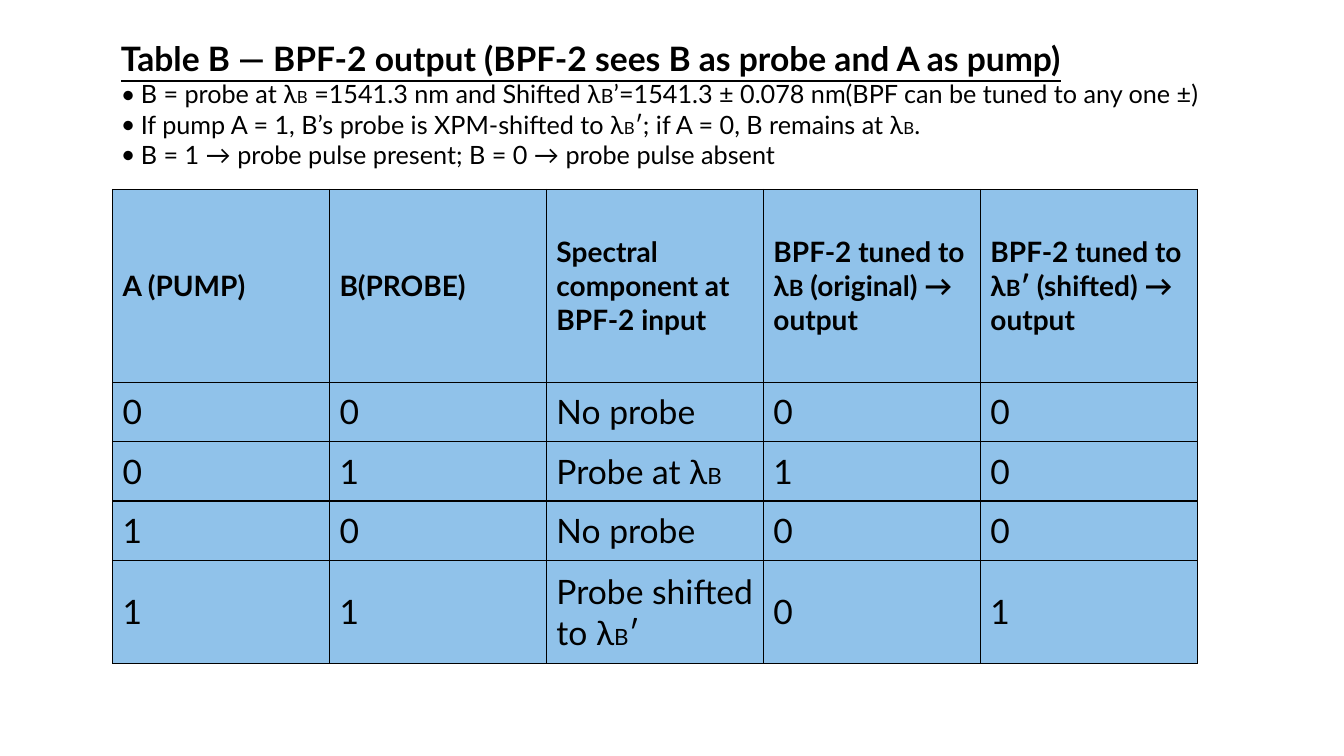
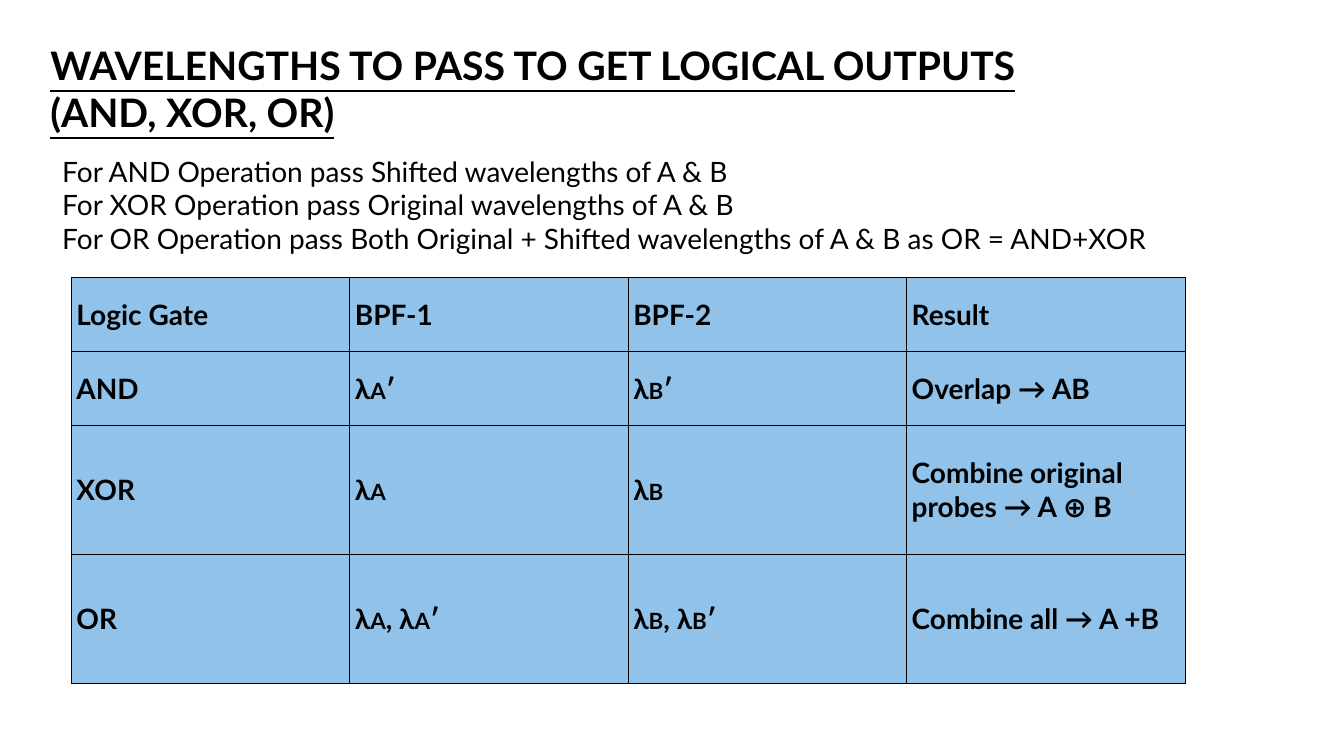
from lxml import etree
from pptx import Presentation
from pptx.dml.color import RGBColor
from pptx.enum.text import MSO_ANCHOR, MSO_AUTO_SIZE, PP_ALIGN
from pptx.oxml.ns import qn
from pptx.util import Pt

TOP, MIDDLE = MSO_ANCHOR.TOP, MSO_ANCHOR.MIDDLE
LEFT = PP_ALIGN.LEFT
NO_AUTOFIT = MSO_AUTO_SIZE.NONE

BLACK = RGBColor(0x00, 0x00, 0x00)
CELL_BLUE = RGBColor(0x90, 0xC2, 0xEA)
FONT = "Lato"
SUBSCRIPT_SIZE = 16
BULLET_INDENT = 14.3

# Text between bars is set in the smaller subscript size.
SLIDES = [
    {
        "title": "Table B — BPF-2 output (BPF-2 sees B as probe and A as pump)",
        "title_size": 24,
        "title_box": (79.2, 23.8, 816, 36),
        "notes": [
            ("B = probe at λ|B| =1541.3 nm and Shifted λ|B|’=1541.3 ± 0.078 nm"
             "(BPF can be tuned to any one ±)", (12, 14)),
            ("If pump A = 1, B’s probe is XPM-shifted to λ|B|′; "
             "if A = 0, B remains at λ|B|.", (12, 12)),
            ("B = 1 → probe pulse present; B = 0 → probe pulse absent", ()),
        ],
        "notes_size": 18,
        "notes_box": (79.2, 52.6, 816, 72),
        "bulleted": True,
        "rows": [
            ("A (PUMP)", "B(PROBE)", "Spectral component at BPF-2 input",
             "BPF-2 tuned to λ|B| (original) → output",
             "BPF-2 tuned to λ|B|′ (shifted) → output"),
            ("0", "0", "No probe", "0", "0"),
            ("0", "1", "Probe at λ|B|", "1", "0"),
            ("1", "0", "No probe", "0", "0"),
            ("1", "1", "Probe shifted to λ|B|′", "0", "1"),
        ],
        "table_at": (80.3, 135.3),
        "column_width": 155,
        "row_heights": (137.8, 42.4, 42.4, 42.4, 73.8),
        "body_size": 24,
        "body_bold": False,
        "cell_margins": (7.2, 3.6),
    },
    {
        "title": "WAVELENGTHS TO PASS TO GET LOGICAL OUTPUTS (AND, XOR, OR)",
        "title_size": 28,
        "title_box": (28.8, 26, 720, 75),
        "notes": [
            ("For AND Operation pass Shifted wavelengths of A & B", ()),
            ("For XOR Operation pass Original wavelengths of A & B", ()),
            ("For OR Operation pass Both Original + Shifted wavelengths "
             "of A & B as OR = AND+XOR", ()),
        ],
        "notes_size": 20,
        "notes_box": (37.4, 106.6, 858, 80),
        "bulleted": False,
        "rows": [
            ("Logic Gate", "BPF-1", "BPF-2", "Result"),
            ("AND", "λ|A|′", "λ|B|′", "Overlap → AB"),
            ("XOR", "λ|A|", "λ|B|", "Combine original probes → A ⊕ B"),
            ("OR", "λ|A|, λ|A|′", "λ|B|, λ|B|′", "Combine all → A +B"),
        ],
        "table_at": (51, 198),
        "column_width": 198.9,
        "row_heights": (52.9, 52.9, 92.2, 92.2),
        "body_size": 20,
        "body_bold": True,
        "cell_margins": (3.6, 2.2),
    },
]
HEADER_SIZE = 20


def add_runs(paragraph, text, size, bold=False, underline=False, small_sizes=()):
    paragraph.alignment = LEFT
    paragraph.line_spacing = 1.0
    paragraph.space_before = paragraph.space_after = Pt(0)
    for index, part in enumerate(text.split("|")):
        if not part:
            continue
        run = paragraph.add_run()
        run.text = part
        font = run.font
        font.name, font.bold, font.underline = FONT, bold, underline
        font.color.rgb = BLACK
        if index % 2:
            size_here = small_sizes[index // 2] if small_sizes else SUBSCRIPT_SIZE
        else:
            size_here = size
        font.size = Pt(size_here)


def add_bullet(paragraph):
    properties = paragraph._p.get_or_add_pPr()
    properties.set("marL", str(Pt(BULLET_INDENT)))
    properties.set("indent", str(-Pt(BULLET_INDENT)))
    etree.SubElement(properties, qn("a:buFont"), typeface=FONT)
    etree.SubElement(properties, qn("a:buChar"), char="•")


def add_borders(cell):
    properties = cell._tc.get_or_add_tcPr()
    for side in ("lnL", "lnR", "lnT", "lnB"):
        line = etree.SubElement(properties, qn(f"a:{side}"), w=str(Pt(1)))
        fill = etree.SubElement(line, qn("a:solidFill"))
        etree.SubElement(fill, qn("a:srgbClr"), val=str(BLACK))


def set_title(slide, content):
    title = slide.shapes.title
    title.left, title.top, title.width, title.height = map(Pt, content["title_box"])
    frame = title.text_frame
    frame.auto_size = NO_AUTOFIT
    frame.word_wrap = True
    frame.vertical_anchor = TOP
    add_runs(frame.paragraphs[0], content["title"], content["title_size"],
             bold=True, underline=True)


def add_notes(slide, content):
    frame = slide.shapes.add_textbox(*map(Pt, content["notes_box"])).text_frame
    frame.word_wrap = True
    for index, (text, small_sizes) in enumerate(content["notes"]):
        paragraph = frame.add_paragraph() if index else frame.paragraphs[0]
        add_runs(paragraph, text, content["notes_size"], small_sizes=small_sizes)
        if content["bulleted"]:
            add_bullet(paragraph)


def add_truth_table(slide, content):
    rows, heights = content["rows"], content["row_heights"]
    column_count = len(rows[0])
    left, top = content["table_at"]
    table = slide.shapes.add_table(
        len(rows), column_count, Pt(left), Pt(top),
        Pt(column_count * content["column_width"]), Pt(sum(heights))).table
    table.first_row = table.horz_banding = False
    for column in table.columns:
        column.width = Pt(content["column_width"])
    side_margin, end_margin = map(Pt, content["cell_margins"])
    for row_index, (values, height) in enumerate(zip(rows, heights)):
        table.rows[row_index].height = Pt(height)
        is_header = row_index == 0
        size = HEADER_SIZE if is_header else content["body_size"]
        for column_index, value in enumerate(values):
            cell = table.cell(row_index, column_index)
            cell.margin_left = cell.margin_right = side_margin
            cell.margin_top = cell.margin_bottom = end_margin
            cell.vertical_anchor = MIDDLE
            add_borders(cell)
            cell.fill.solid()
            cell.fill.fore_color.rgb = CELL_BLUE
            add_runs(cell.text_frame.paragraphs[0], value, size,
                     bold=is_header or content["body_bold"])


def main():
    deck = Presentation()
    deck.slide_width, deck.slide_height = Pt(960), Pt(540)
    title_only = deck.slide_layouts[5]
    for content in SLIDES:
        slide = deck.slides.add_slide(title_only)
        set_title(slide, content)
        add_notes(slide, content)
        add_truth_table(slide, content)
    deck.save("out.pptx")


if __name__ == "__main__":
    main()
